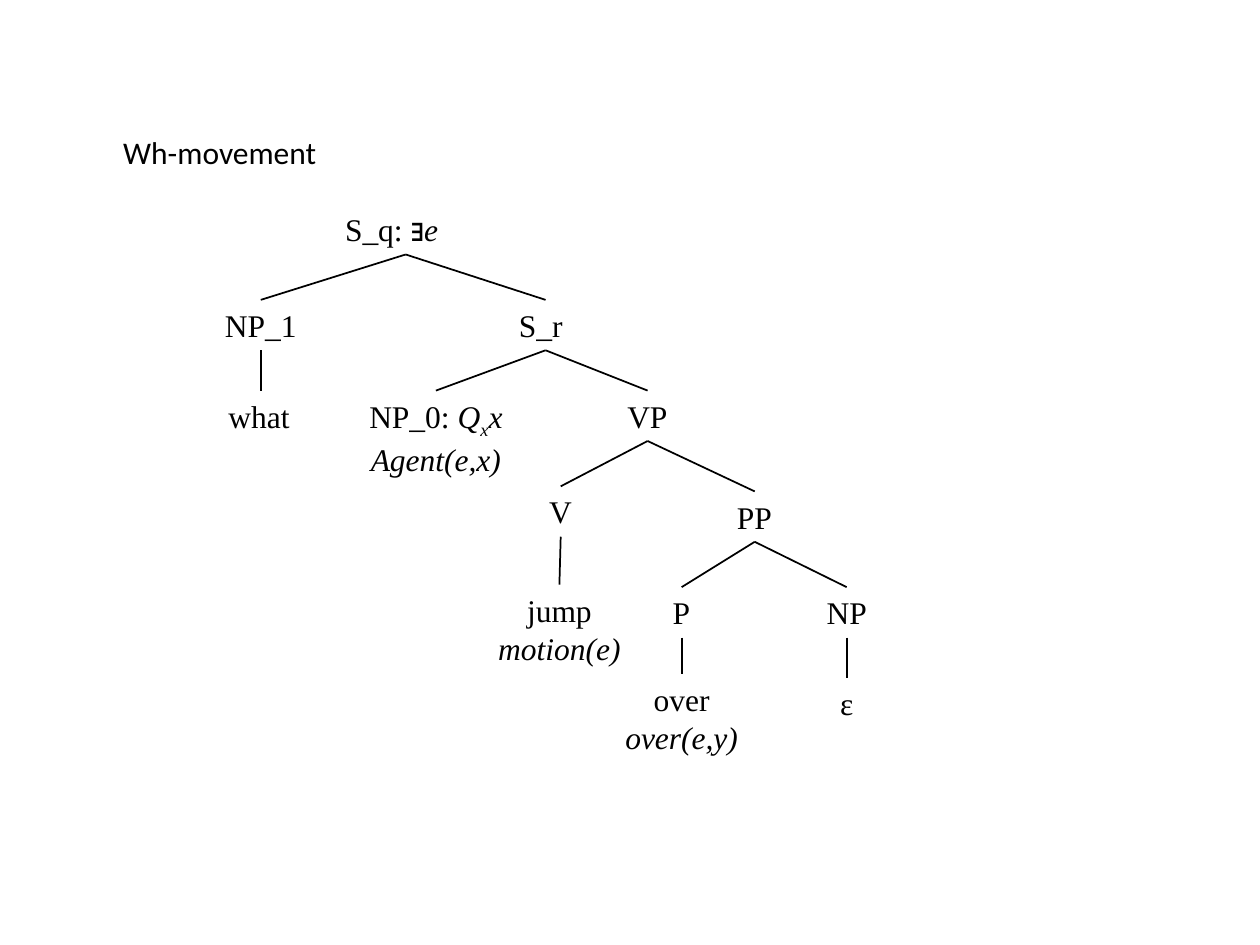
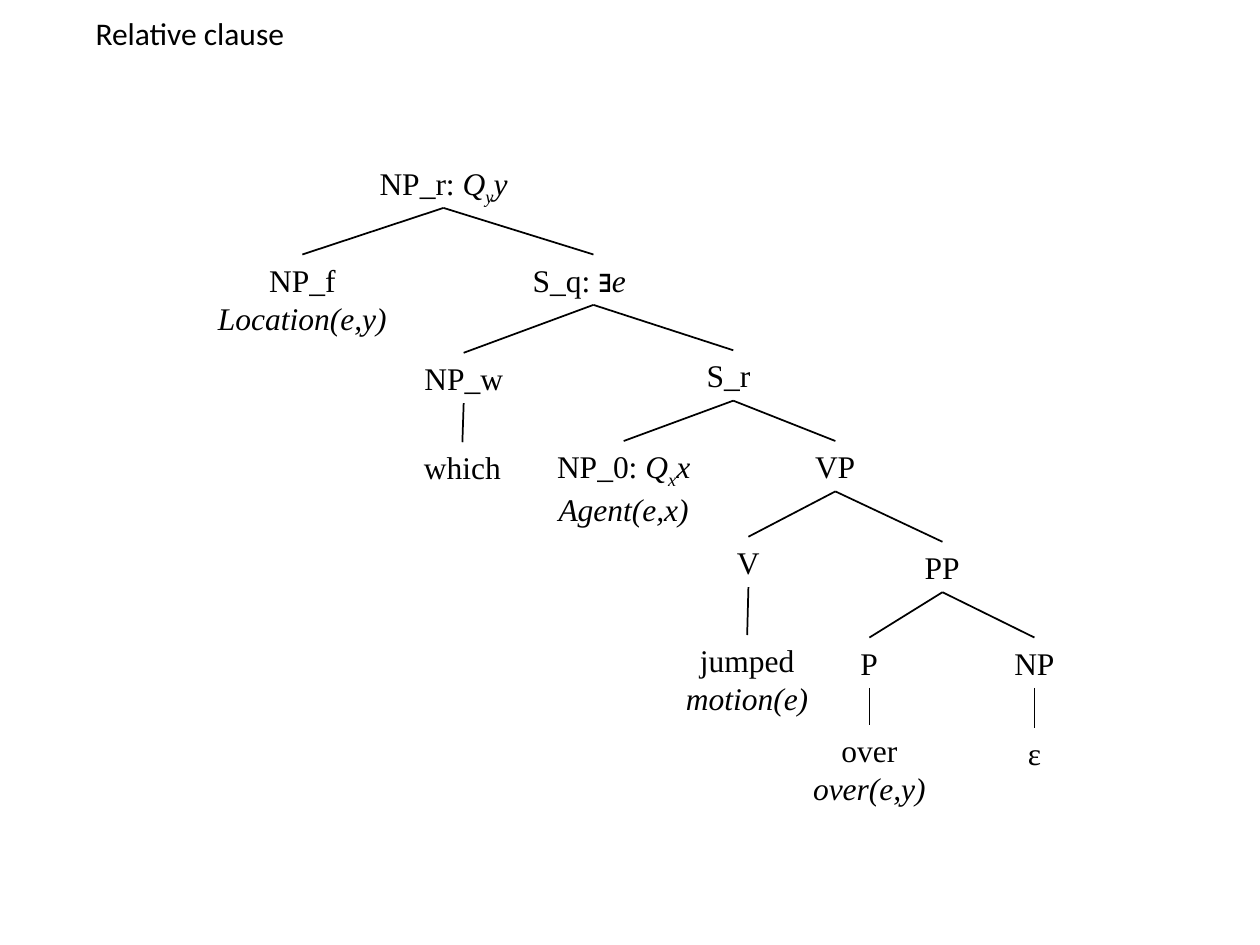
from lxml.etree import SubElement
from pptx import Presentation
from pptx.dml.color import RGBColor
from pptx.enum.shapes import MSO_CONNECTOR
from pptx.enum.text import MSO_AUTO_SIZE, PP_ALIGN
from pptx.oxml.ns import qn
from pptx.util import Inches, Pt

COLORS = {"ink": "000000", "paper": "FFFFFF"}
FONTS = {"title": "Calibri", "tree": "Times New Roman"}
LABEL_HEIGHT = 0.4
LEFT_ALIGNED = {"S_q", "S_r", "VP", "V", "PP", "P", "what"}


def quantified(label, variable):
    """Runs for a label followed by a quantifier that binds a variable."""
    return [(label, ""), ("Q", "italic"), (variable, "subscript"), (variable, "italic")]


def plain(label):
    return [(label, "")]


def meaning(formula):
    return [(formula, "italic")]


def clause(verb):
    """The part of the tree that both sentences share, with its verb."""
    return {
        "S_q": (None, 3.22, 1.62, 1.16, 0.4, [[("S_q: ∃", ""), ("e", "italic")]]),
        "S_r": ("S_q", 4.33, 2.38, 0.62, 0.4, [plain("S_r")]),
        "NP_0": ("S_r", 3.46, 3.1, 1.4, 0.71, [quantified("NP_0: ", "x"), meaning("Agent(e,x)")]),
        "VP": ("S_r", 5.14, 3.1, 0.52, 0.4, [plain("VP")]),
        "V": ("VP", 4.45, 3.86, 0.38, 0.4, [plain("V")]),
        "PP": ("VP", 5.99, 3.9, 0.48, 0.4, [plain("PP")]),
        "P": ("PP", 5.41, 4.66, 0.34, 0.4, [plain("P")]),
        "NP": ("PP", 6.72, 4.66, 0.6, 0.4, [plain("NP")]),
        "verb": ("V", 4.44, 4.64, 1.27, 0.71, [plain(verb), meaning("motion(e)")]),
        "over": ("P", 5.41, 5.35, 1.19, 1.01, [plain("over"), meaning("over(e,y)")]),
        "ε": ("NP", 6.72, 5.38, 0.31, 0.4, [plain("ε")]),
    }


def shifted(tree, across, down):
    return {
        name: (parent, center + across, top + down, *rest)
        for name, (parent, center, top, *rest) in tree.items()
    }


# Each node: parent, center, top, width, height, paragraphs
QUESTION = clause("jump") | {
    "NP_1": ("S_q", 2.07, 2.38, 0.86, 0.4, [plain("NP_1")]),
    "what": ("NP_1", 2.07, 3.1, 0.71, 0.4, [plain("what")]),
}
RELATIVE = shifted(clause("jumped"), 1.49, 0.4) | {
    "NP_r": (None, 3.52, 1.25, 1.32, 0.4, [quantified("NP_r: ", "y")]),
    "NP_f": ("NP_r", 2.4, 2.02, 1.64, 0.71, [plain("NP_f"), meaning("Location(e,y)")]),
    "NP_w": ("S_q", 3.68, 2.8, 0.91, 0.4, [plain("NP_w")]),
    "which": ("NP_w", 3.67, 3.51, 0.9, 0.4, [plain("which")]),
}
RELATIVE["S_q"] = ("NP_r", *RELATIVE["S_q"][1:])

SLIDES = [
    ("Wh-movement", (0.88, 1.01, 1.76), QUESTION),
    ("Relative clause", (0.66, 0.06, 1.72), RELATIVE),
]


def add_text(shapes, paragraphs, left, top, width, height=LABEL_HEIGHT,
             font=FONTS["tree"], align=PP_ALIGN.LEFT):
    box = shapes.add_textbox(Inches(left), Inches(top), Inches(width), Inches(height))
    frame = box.text_frame
    frame.word_wrap = False
    frame.auto_size = MSO_AUTO_SIZE.SHAPE_TO_FIT_TEXT
    for index, runs in enumerate(paragraphs):
        para = frame.add_paragraph() if index else frame.paragraphs[0]
        para.alignment = align
        for text, style in runs:
            span = para.add_run()
            span.text = text
            span.font.name = font
            span.font.size = Pt(18)
            span.font.italic = style != ""
            span.font.color.rgb = RGBColor.from_string(COLORS["ink"])
            if style == "subscript":
                span._r.get_or_add_rPr().set("baseline", "-25000")


def add_branch(shapes, start, end):
    ends = [Inches(value) for value in (*start, *end)]
    line = shapes.add_connector(MSO_CONNECTOR.STRAIGHT, *ends)
    line.line.color.rgb = RGBColor.from_string(COLORS["ink"])
    line.line.width = Pt(1)
    SubElement(line._element.spPr, qn("a:effectLst"))


def add_tree(slide, tree):
    shapes = slide.shapes.add_group_shape().shapes
    for name, (parent, center, top, width, height, paragraphs) in tree.items():
        align = PP_ALIGN.LEFT if name in LEFT_ALIGNED else PP_ALIGN.CENTER
        add_text(shapes, paragraphs, center - width / 2, top, width, height, align=align)
        if parent:
            _, parent_center, parent_top, *_ = tree[parent]
            add_branch(shapes, (parent_center, parent_top + LABEL_HEIGHT), (center, top))


def main():
    deck = Presentation()
    deck.slide_width, deck.slide_height = Inches(10), Inches(7.5)
    for title, place, tree in SLIDES:
        slide = deck.slides.add_slide(deck.slide_layouts[6])
        slide.background.fill.solid()
        slide.background.fill.fore_color.rgb = RGBColor.from_string(COLORS["paper"])
        add_tree(slide, tree)
        add_text(slide.shapes, [plain(title)], *place, font=FONTS["title"])
    deck.save("out.pptx")


if __name__ == "__main__":
    main()
